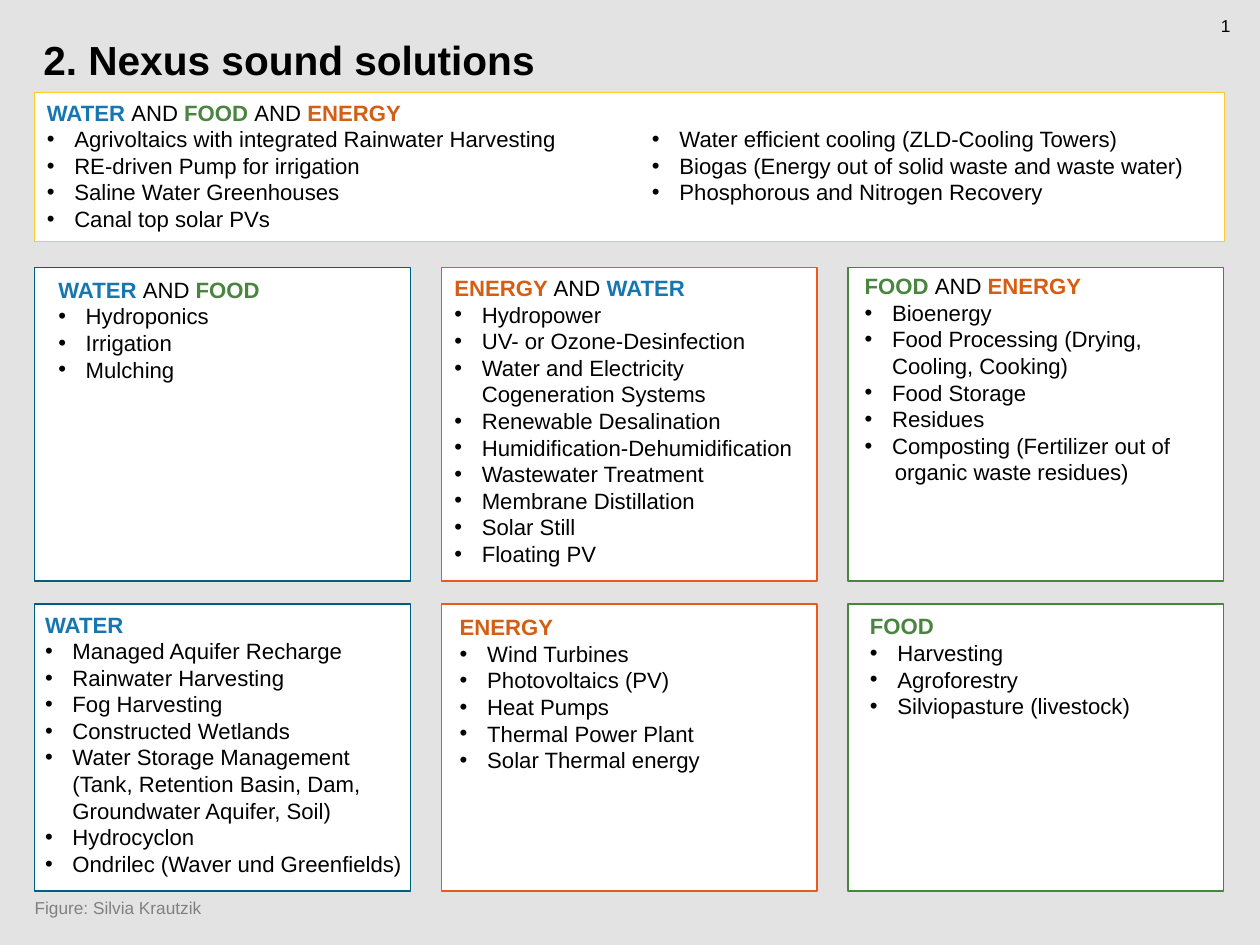
"""Build the slide of nexus sound solutions for water, food and energy."""
from dataclasses import dataclass

from lxml.etree import SubElement
from pptx import Presentation
from pptx.dml.color import RGBColor
from pptx.enum.shapes import MSO_SHAPE
from pptx.enum.text import MSO_ANCHOR
from pptx.oxml.ns import qn
from pptx.slide import Slide
from pptx.text.text import Font, TextFrame
from pptx.util import Inches, Pt

BLACK, WHITE, GREY = "000000", "FFFFFF", "808080"
HUES = {"WATER": "1677B0", "FOOD": "49853F", "ENERGY": "D45E14"}
EDGES = ["005F7F", "E95A1F", "49853F"]
LEFT, STEP, WIDTH = 0.39, 4.59, 4.24
ROWS = [(3.02, 3.54), (6.82, 3.24)]
INDENT = 0.31


@dataclass
class Panel:
    x: float
    y: float
    w: float
    h: float
    edge: str


@dataclass
class Label:
    x: float
    y: float
    w: float
    h: float
    text: str
    size: int
    hue: str = BLACK
    bold: bool = False
    inset: bool = False
    low: bool = False


@dataclass
class Topic:
    x: float
    y: float
    h: float
    head: str
    items: list[str]
    tail: str = ""
    w: float = 4.5


PANELS = [Panel(LEFT, 1.04, 13.43, 1.69, "FECB2E")] + [
    Panel(LEFT + col * STEP, y, WIDTH, h, edge)
    for y, h in ROWS for col, edge in enumerate(EDGES)
]

LABELS = [
    Label(0.39, 0.35, 12.27, 0.56, "2. Nexus sound solutions", 33, bold=True, inset=True),
    Label(0.39, 9.81, 12.99, 0.56, "Figure: Silvia Krautzik", 14, GREY, low=True),
    Label(13.78, 0.17, 0.42, 0.31, "1", 14),
]

TOPICS = [
    Topic(0.43, 1.07, 1.63, "WATER AND FOOD AND ENERGY", [
        "Agrivoltaics with integrated Rainwater Harvesting",
        "RE-driven Pump for irrigation",
        "Saline Water Greenhouses",
        "Canal top solar PVs",
    ], w=6.91),
    Topic(7.26, 1.37, 1.02, "", [
        "Water efficient cooling (ZLD-Cooling Towers)",
        "Biogas (Energy out of solid waste and waste water)",
        "Phosphorous and Nitrogen Recovery",
    ], w=6.91),
    Topic(0.56, 3.07, 1.33, "WATER AND FOOD", ["Hydroponics", "Irrigation", "Mulching"]),
    Topic(5.03, 3.05, 3.73, "ENERGY AND WATER", [
        "Hydropower",
        "UV- or Ozone-Desinfection",
        "Water and Electricity\nCogeneration Systems",
        "Renewable Desalination",
        "Humidification-Dehumidification",
        "Wastewater Treatment",
        "Membrane Distillation",
        "Solar Still",
        "Floating PV",
    ]),
    Topic(9.66, 3.03, 2.85, "FOOD AND ENERGY", [
        "Bioenergy",
        "Food Processing (Drying,\nCooling, Cooking)",
        "Food Storage",
        "Residues",
        "Composting (Fertilizer out of",
    ], tail="organic waste residues)"),
    Topic(0.41, 6.85, 3.16, "WATER", [
        "Managed Aquifer Recharge",
        "Rainwater Harvesting",
        "Fog Harvesting",
        "Constructed Wetlands",
        "Water Storage Management\n(Tank, Retention Basin, Dam, Groundwater Aquifer, Soil)",
        "Hydrocyclon",
        "Ondrilec (Waver und Greenfields)",
    ]),
    Topic(5.09, 6.88, 1.94, "ENERGY", [
        "Wind Turbines",
        "Photovoltaics (PV)",
        "Heat Pumps",
        "Thermal Power Plant",
        "Solar Thermal energy",
    ], w=3.85),
    Topic(9.72, 6.87, 1.94, "FOOD", ["Harvesting", "Agroforestry", "Silviopasture (livestock)"]),
]


def color(code: str) -> RGBColor:
    return RGBColor.from_string(code)


def style(font: Font, size: int, hue: str = BLACK, bold: bool = False) -> None:
    font.name, font.size, font.bold = "Arial", Pt(size), bold
    font.color.rgb = color(hue)


def add_box(slide: Slide, part: Label | Topic) -> TextFrame:
    box = slide.shapes.add_textbox(*map(Inches, (part.x, part.y, part.w, part.h)))
    box.text_frame.word_wrap = True
    return box.text_frame


def add_panel(slide: Slide, panel: Panel) -> None:
    rect = slide.shapes.add_shape(
        MSO_SHAPE.RECTANGLE, *map(Inches, (panel.x, panel.y, panel.w, panel.h)))
    rect.shadow.inherit = False
    rect.fill.solid()
    rect.fill.fore_color.rgb = color(WHITE)
    rect.line.color.rgb = color(panel.edge)
    rect.line.width = Pt(1)


def add_label(slide: Slide, label: Label) -> None:
    frame = add_box(slide, label)
    if not label.inset:
        frame.margin_left = frame.margin_right = 0
        frame.margin_top = frame.margin_bottom = 0
    para = frame.paragraphs[0]
    if label.low:
        frame.vertical_anchor = MSO_ANCHOR.BOTTOM
        para.line_spacing = 0.9
    para.text = label.text
    style(para.font, label.size, label.hue, label.bold)


def add_line(frame: TextFrame, text: str, left: float, mark: bool) -> None:
    para = frame.paragraphs[0] if not frame.text else frame.add_paragraph()
    para.text = text
    props = para._p.get_or_add_pPr()
    props.set("marL", str(Inches(left)))
    if mark:
        props.set("indent", str(Inches(-left)))
        SubElement(props, qn("a:buFont")).set("typeface", "Arial")
        SubElement(props, qn("a:buChar")).set("char", "•")
    style(para.font, 18)


def add_topic(slide: Slide, topic: Topic) -> None:
    frame = add_box(slide, topic)
    para = frame.paragraphs[0]
    words = topic.head.split()
    for place, word in enumerate(words, 1):
        run = para.add_run()
        run.text = word if place == len(words) else word + " "
        font = para.font if len(words) == 1 else run.font
        style(font, 18, HUES.get(word, BLACK), word in HUES)
    for item in topic.items:
        add_line(frame, item, INDENT, True)
    if topic.tail:
        add_line(frame, topic.tail, INDENT + 0.03, False)


def main() -> None:
    deck = Presentation()
    deck.slide_width, deck.slide_height = Inches(14.22), Inches(10.67)
    slide = deck.slides.add_slide(deck.slide_layouts[6])
    slide.background.fill.solid()
    slide.background.fill.fore_color.rgb = color("E3E3E3")
    for panel in PANELS:
        add_panel(slide, panel)
    for label in LABELS:
        add_label(slide, label)
    for topic in TOPICS:
        add_topic(slide, topic)
    deck.save("out.pptx")


if __name__ == "__main__":
    main()
